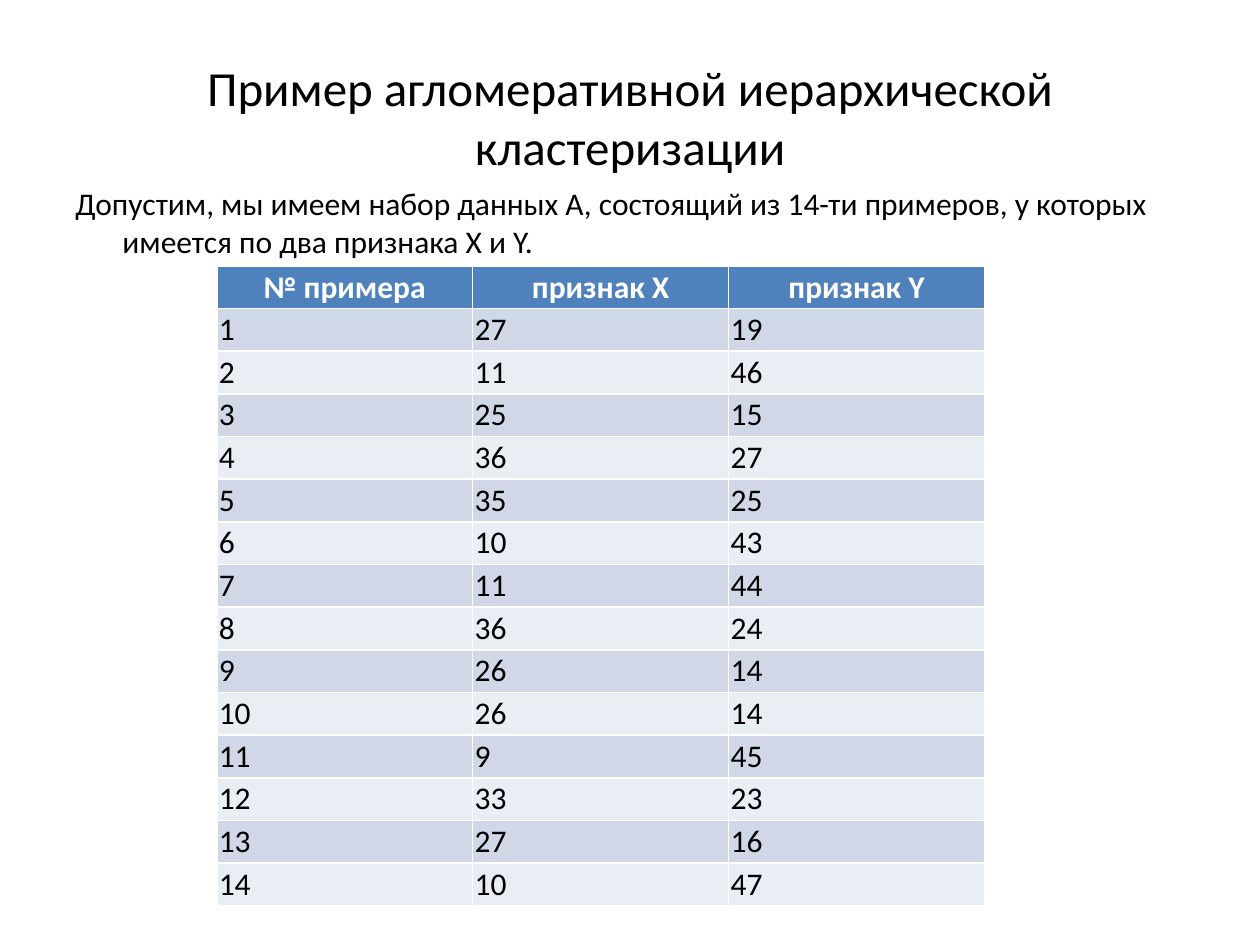
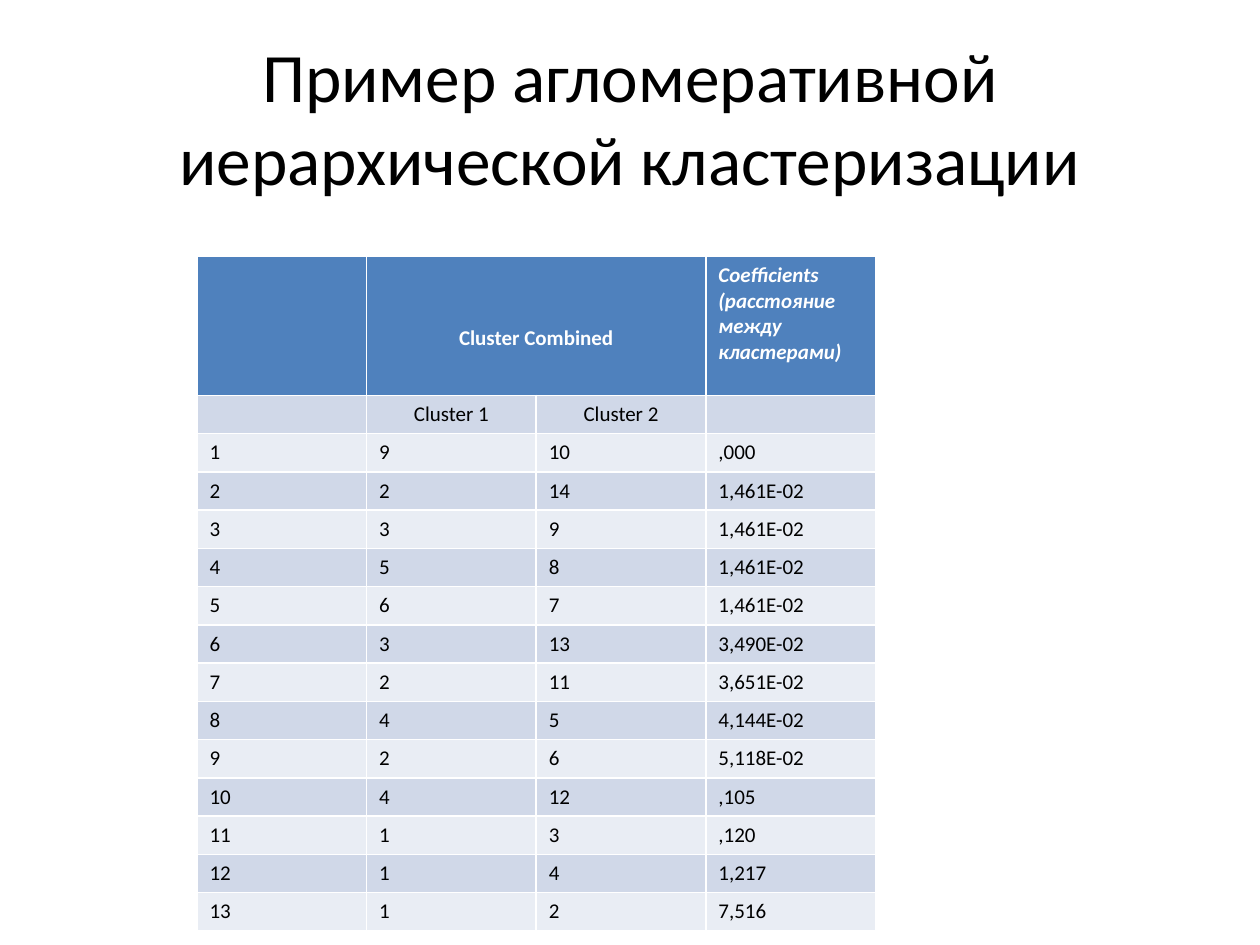
from lxml import etree
from pptx import Presentation
from pptx.dml.color import RGBColor
from pptx.enum.text import MSO_ANCHOR, MSO_AUTO_SIZE, PP_ALIGN
from pptx.oxml.ns import qn
from pptx.util import Cm, Pt

CENTER, LEFT = PP_ALIGN.CENTER, PP_ALIGN.LEFT
MIDDLE, TOP = MSO_ANCHOR.MIDDLE, MSO_ANCHOR.TOP
NO_FIT = MSO_AUTO_SIZE.NONE
TITLE_ONLY = 5

# Shared style
FONT = "Calibri"
BLACK, WHITE = "000000", "FFFFFF"
HEADER_FILL = "4F81BD"
BAND_FILLS = ("D0D8E8", "E9EDF4")

# Content
TITLE = "Пример агломеративной иерархической кластеризации"
INTRO = ("Допустим, мы имеем набор данных А, состоящий из 14-ти примеров, "
         "у которых имеется по два признака X и Y.")
EXAMPLE_HEADER = ("№ примера", "признак X", "признак Y")
EXAMPLES = [(27, 19), (11, 46), (25, 15), (36, 27), (35, 25), (10, 43), (11, 44),
            (36, 24), (26, 14), (26, 14), (9, 45), (33, 23), (27, 16), (10, 47)]
MERGE_HEADER = ("", "\vCluster Combined", "", "Coefficients (расстояние между кластерами)")
MERGE_SUBHEADER = ("", "Cluster 1", "Cluster 2", "")
MERGES = [(9, 10, ",000"), (2, 14, "1,461E-02"), (3, 9, "1,461E-02"),
          (5, 8, "1,461E-02"), (6, 7, "1,461E-02"), (3, 13, "3,490E-02"),
          (2, 11, "3,651E-02"), (4, 5, "4,144E-02"), (2, 6, "5,118E-02"),
          (4, 12, ",105"), (1, 3, ",120"), (1, 4, "1,217"), (1, 2, "7,516")]


def color(hex_code):
    return RGBColor.from_string(hex_code)


def style(para, size, hex_code=BLACK, bold=False, align=LEFT):
    para.alignment = align
    font = para.font
    font.name, font.size, font.bold = FONT, Pt(size), bold
    font.color.rgb = color(hex_code)


def numbered(rows):
    return [(number, *row) for number, row in enumerate(rows, 1)]


def add_page(deck, title_size):
    page = deck.slides.add_slide(deck.slide_layouts[TITLE_ONLY])
    title = page.shapes.title
    title.left, title.top, title.width, title.height = Cm(1.27), Cm(0.76), Cm(22.86), Cm(3.18)
    frame = title.text_frame
    frame.text = TITLE
    frame.auto_size, frame.vertical_anchor = NO_FIT, MIDDLE
    style(frame.paragraphs[0], title_size, align=CENTER)
    return page


def add_intro(page):
    box = page.shapes.add_textbox(Cm(1.27), Cm(3.58), Cm(22.86), Cm(13.44))
    frame = box.text_frame
    frame.word_wrap = True
    frame.text = INTRO
    para = frame.paragraphs[0]
    style(para, 18)
    # Hanging indent
    hang = Cm(0.95)
    properties = para._p.get_or_add_pPr()
    properties.set("marL", str(hang))
    properties.set("indent", str(-hang))


def add_banded_table(page, rows, left, top, column_width, header_height, row_height,
                     size, inset=None):
    """Header row first; the rows below alternate between the two band fills."""
    columns = len(rows[0])
    height = header_height + row_height * (len(rows) - 1)
    table = page.shapes.add_table(len(rows), columns, Cm(left), Cm(top),
                                  Cm(column_width * columns), Cm(height)).table
    for column in table.columns:
        column.width = Cm(column_width)
    for row_index, values in enumerate(rows):
        is_header = row_index == 0
        table.rows[row_index].height = Cm(header_height if is_header else row_height)
        fill = HEADER_FILL if is_header else BAND_FILLS[(row_index - 1) % 2]
        for column_index, value in enumerate(values):
            cell = table.cell(row_index, column_index)
            cell.fill.solid()
            cell.fill.fore_color.rgb = color(fill)
            if inset is not None:
                cell.margin_left = cell.margin_right = Cm(inset)
                cell.margin_top = cell.margin_bottom = Cm(inset)
            cell.text = str(value)
            para = cell.text_frame.paragraphs[0]
            if value == "":  # keeps an empty cell as low as its row
                etree.SubElement(para._p, qn("a:endParaRPr"), sz=str(size * 100))
            style(para, size, WHITE if is_header else BLACK, is_header)
    return table


def center(cell):
    cell.vertical_anchor = MIDDLE
    cell.text_frame.paragraphs[0].alignment = CENTER


def build_examples(deck):
    page = add_page(deck, 28)
    add_intro(page)
    table = add_banded_table(page, [EXAMPLE_HEADER, *numbered(EXAMPLES)], left=4.37, top=5.36,
                             column_width=5.16, header_height=0.86, row_height=0.86,
                             size=18, inset=0.04)
    for column in range(len(EXAMPLE_HEADER)):
        center(table.cell(0, column))


def build_merges(deck):
    page = add_page(deck, 39.6)
    table = add_banded_table(page, [MERGE_HEADER, MERGE_SUBHEADER, *numbered(MERGES)],
                             left=3.97, top=5.17, column_width=3.42, header_height=2.8,
                             row_height=0.77, size=12)
    table.cell(0, 1).merge(table.cell(0, 2))
    for row, column in ((0, 1), (1, 1), (1, 2)):
        center(table.cell(row, column))
    coefficients = table.cell(0, 3)
    coefficients.vertical_anchor = TOP
    coefficients.text_frame.paragraphs[0].font.italic = True


def main():
    deck = Presentation()
    deck.slide_width, deck.slide_height = Cm(25.4), Cm(19.05)
    build_examples(deck)
    build_merges(deck)
    deck.save("out.pptx")


if __name__ == "__main__":
    main()
